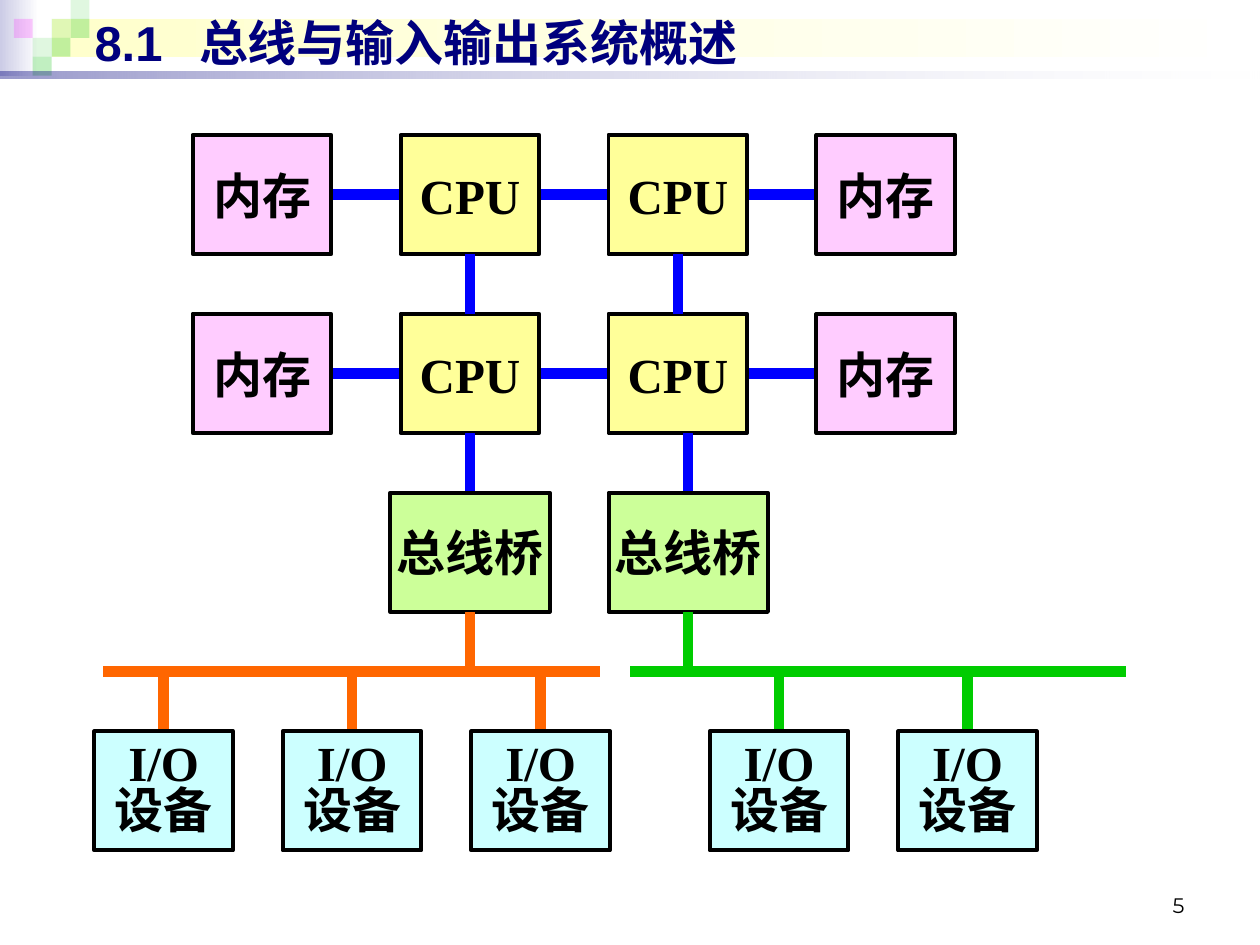
from lxml import etree
from pptx import Presentation, util as u
from pptx.dml.color import RGBColor
from pptx.enum import shapes, text
from pptx.oxml.ns import qn

WHITE = RGBColor(0xFF, 0xFF, 0xFF)
BLACK = RGBColor(0, 0, 0)
NAVY = RGBColor(0, 0, 0x7D)
LAVENDER = RGBColor(0xCC, 0xCC, 0xE6)
CREAM = RGBColor(0xFF, 0xFF, 0xCC)
LEAF = RGBColor(0x33, 0xCC, 0x33)
MAGENTA = RGBColor(0xFF, 0, 0xFF)
BLUE = RGBColor(0, 0, 0xFF)
ORANGE = RGBColor(0xFF, 0x66, 0)
GREEN = RGBColor(0, 0xCC, 0)
YELLOW = RGBColor(0xFF, 0xFF, 0x99)
PINK = RGBColor(0xFF, 0xCC, 0xFF)
LIME = RGBColor(0xCC, 0xFF, 0x99)
CYAN = RGBColor(0xCC, 0xFF, 0xFF)

# A box is two columns by two rows; the gap between boxes is one.
LEFT, TOP = 1.53, 1.07
COL, ROW = 1.65 / 3, 1.42 / 3


def x(col):
    return u.Inches(LEFT + col * COL)


def y(row):
    return u.Inches(TOP + row * ROW)


def set_alpha(fill_element, percents):
    for color, percent in zip(fill_element.iter(qn("a:srgbClr")), percents):
        etree.SubElement(color, qn("a:alpha"), val=str(percent * 1000))


class BusSlide:
    body_font = "Times New Roman"
    size = u.Pt(28)

    def __init__(self, deck):
        self.slide = deck.slides.add_slide(deck.slide_layouts[5])
        self.shapes = self.slide.shapes

    def style(self, paragraph, font, size, color, bold=True):
        paragraph.font.name = font
        paragraph.font.size = size
        paragraph.font.color.rgb = color
        paragraph.font.bold = bold

    def rectangle(self, *place):
        rect = self.shapes.add_shape(shapes.MSO_SHAPE.RECTANGLE, *place)
        rect.shadow.inherit = False
        return rect

    def tint(self, left, top, width, height, color, alpha):
        rect = self.rectangle(*map(u.Inches, (left, top, width, height)))
        rect.line.fill.background()
        rect.fill.solid()
        rect.fill.fore_color.rgb = color
        set_alpha(rect._element.spPr, [alpha])

    def fade(self, left, top, width, height, color, alphas=()):
        """Band that runs from the colour at its left to white."""
        rect = self.rectangle(*map(u.Inches, (left, top, width, height)))
        rect.line.fill.background()
        rect.fill.gradient()
        rect.fill.gradient_angle = 180
        for stop, shade in zip(rect.fill.gradient_stops, (WHITE, color)):
            stop.color.rgb = shade
        set_alpha(rect._element.spPr, alphas)

    def title(self, number, heading):
        title = self.shapes.title
        tree = title._element.getparent()
        tree.append(title._element)  # in front of the header bands
        title.left, title.top = u.Inches(0.65), u.Inches(0.05)
        title.width, title.height = u.Inches(9), u.Inches(0.57)
        frame = title.text_frame
        frame.vertical_anchor = text.MSO_ANCHOR.MIDDLE
        frame.auto_size = text.MSO_AUTO_SIZE.NONE
        paragraph = frame.paragraphs[0]
        paragraph.text = f"{number}\t{heading}"
        paragraph.alignment = text.PP_ALIGN.LEFT
        tabs = etree.SubElement(paragraph._p.get_or_add_pPr(), qn("a:tabLst"))
        etree.SubElement(tabs, qn("a:tab"), pos=str(u.Inches(0.83)), algn="l")
        self.style(paragraph, "Arial", self.size, NAVY)

    def page_number(self, number):
        box = self.shapes.add_textbox(*map(u.Inches, (7.17, 6.83, 2.33, 0.5)))
        frame = box.text_frame
        frame.word_wrap = True
        frame.vertical_anchor = text.MSO_ANCHOR.BOTTOM
        paragraph = frame.paragraphs[0]
        paragraph.text = number
        paragraph.alignment = text.PP_ALIGN.RIGHT
        self.style(paragraph, "Montserrat", u.Pt(12), BLACK, bold=False)

    def link(self, start, end, color):
        line = self.shapes.add_connector(
            shapes.MSO_CONNECTOR.STRAIGHT,
            x(start[0]), y(start[1]), x(end[0]), y(end[1]))
        line.line.color.rgb = color
        line.line.width = u.Pt(6)
        etree.SubElement(line._element.spPr, qn("a:effectLst"))

    def unit(self, label, center, row, color, width=2, spacing=1.0):
        box = self.rectangle(x(center - width / 2), y(row),
                             u.Inches(width * COL), u.Inches(2 * ROW))
        box.fill.solid()
        box.fill.fore_color.rgb = color
        box.line.color.rgb = BLACK
        box.line.width = u.Pt(2.25)
        frame = box.text_frame
        frame.word_wrap = False
        frame.vertical_anchor = text.MSO_ANCHOR.MIDDLE
        paragraph = frame.paragraphs[0]
        paragraph.text = label
        paragraph.alignment = text.PP_ALIGN.CENTER
        paragraph.line_spacing = spacing
        self.style(paragraph, self.body_font, self.size, BLACK)

    def io_bus(self, start, bridge, devices, color):
        """Bridge feed, horizontal bus, and the devices hanging from it."""
        self.link((bridge, 8), (bridge, 9), color)
        self.link((start, 9), (start + 7.16, 9), color)
        for device in devices:
            self.link((device, 9), (device, 10), color)
            self.unit("I/O\v设备", device, 10, CYAN, spacing=0.8)


def draw_header(page):
    page.fade(0, 0, 0.31, 0.6, LAVENDER)
    page.fade(0.41, 0.15, 9.55, 0.3, CREAM)
    tile = 0.15
    for col, row, color, alpha in [
            (2, 1, LEAF, 15), (3, 0, LEAF, 15), (3, 1, LEAF, 30), (1, 2, LEAF, 15),
            (0, 1, MAGENTA, 20), (2, 2, LEAF, 30), (1, 3, LEAF, 30)]:
        page.tint(0.11 + col * tile, row * tile, tile, tile, color, alpha)
    page.fade(0, 0.57, 10, 0.05, NAVY, (10, 40))
    page.title("8.1", "总线与输入输出系统概述")


def draw_processors(page):
    nodes = [("内存", 1, PINK), ("CPU", 4, YELLOW), ("CPU", 7, YELLOW), ("内存", 10, PINK)]
    for row in (0, 3):
        for gap in (2, 5, 8):
            page.link((gap, row + 1), (gap + 1, row + 1), BLUE)
        for label, center, color in nodes:
            page.unit(label, center, row, color)
    for cpu in (4, 7):
        page.link((cpu, 2), (cpu, 3), BLUE)


def draw_io(page):
    pitch = 2.72
    left_bridge, right_bridge = 4, 7.15
    for bridge in (left_bridge, right_bridge):
        page.link((bridge, 5), (bridge, 6), BLUE)
        page.unit("总线桥", bridge, 6, LIME, width=2.3)
    page.io_bus(-1.29, left_bridge, [-0.42 + i * pitch for i in range(3)], ORANGE)
    page.io_bus(6.31, right_bridge, [8.46 + i * pitch for i in range(2)], GREEN)


def main():
    deck = Presentation()
    deck.slide_width, deck.slide_height = u.Inches(10), u.Inches(7.5)
    page = BusSlide(deck)
    draw_header(page)
    draw_processors(page)
    draw_io(page)
    page.page_number("5")
    deck.save("out.pptx")


if __name__ == "__main__":
    main()
